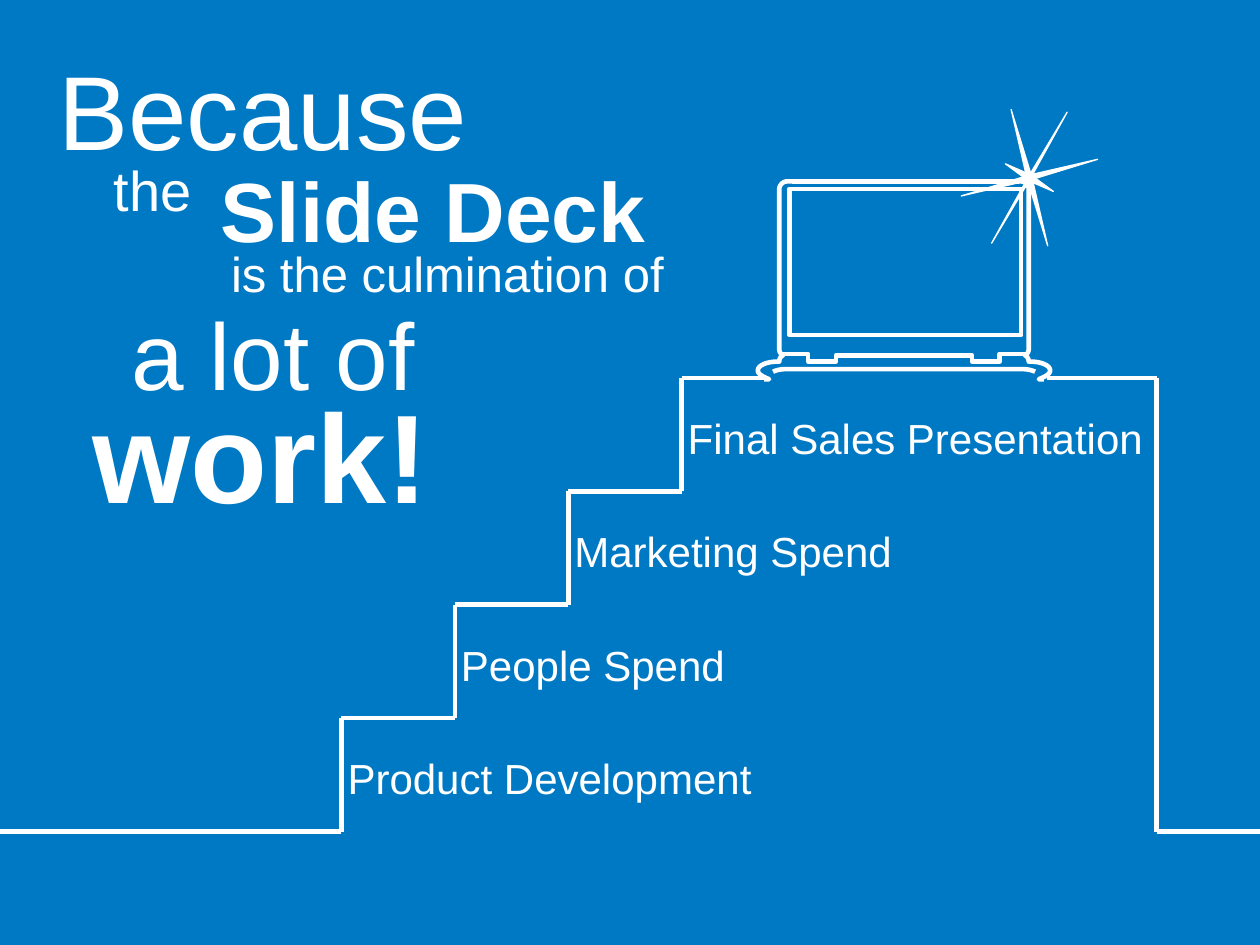
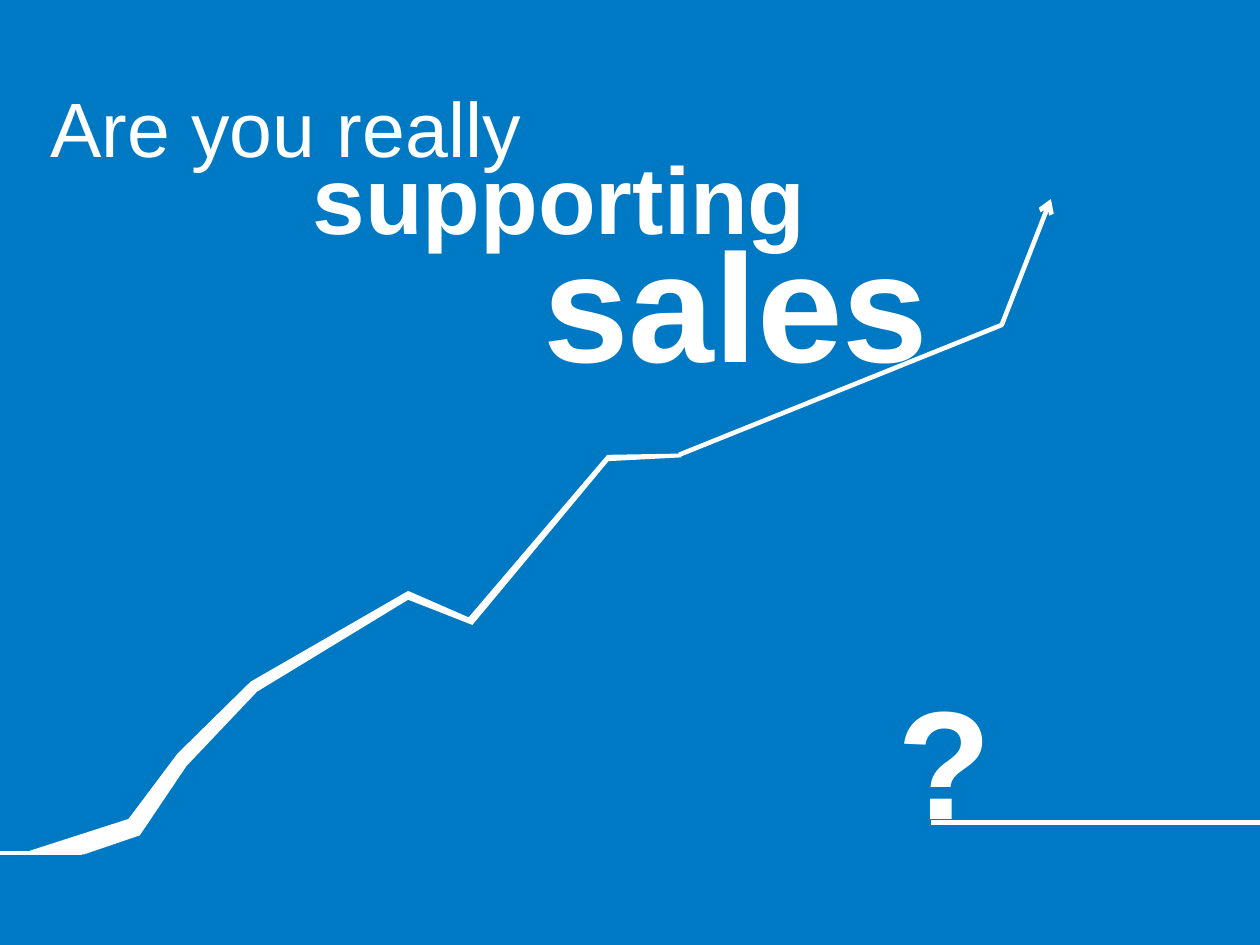
from math import cos, radians, sin

from lxml import etree
from pptx import Presentation
from pptx.dml.color import RGBColor
from pptx.enum.shapes import MSO_CONNECTOR, MSO_SHAPE
from pptx.enum.text import MSO_ANCHOR, MSO_AUTO_SIZE, PP_ALIGN
from pptx.oxml.ns import qn
from pptx.util import Inches, Pt

STRAIGHT = MSO_CONNECTOR.STRAIGHT
RECT, TRIANGLE = MSO_SHAPE.RECTANGLE, MSO_SHAPE.ISOSCELES_TRIANGLE
LEFT, CENTER = PP_ALIGN.LEFT, PP_ALIGN.CENTER
MIDDLE, NO_FIT = MSO_ANCHOR.MIDDLE, MSO_AUTO_SIZE.NONE
BLUE, WHITE = "0079C5", "FFFFFF"
FONT, STROKE = "Arial", 2.64
TITLE_ONLY = 5
BASELINE_DROP = 0.055


def rgb(color):
    return RGBColor.from_string(color)


def write(sp, text, x, y, w, h, size=24, bold=False, align=CENTER):
    sp.left, sp.top = Inches(x), Inches(y + BASELINE_DROP * size / 72)
    sp.width, sp.height = Inches(w), Inches(h)
    tf = sp.text_frame
    tf.word_wrap = True
    tf.auto_size = NO_FIT
    tf.vertical_anchor = MIDDLE
    p = tf.paragraphs[0]
    p.alignment = align
    r = p.add_run()
    r.text = text
    r.font.name, r.font.size, r.font.bold = FONT, Pt(size), bold
    r.font.color.rgb = rgb(WHITE)


def add_text(s, text, x, y, w, h, **fmt):
    write(s.shapes.add_textbox(0, 0, 0, 0), text, x, y, w, h, **fmt)


def stroke(sp, width=STROKE):
    sp.line.color.rgb = rgb(WHITE)
    sp.line.width = Pt(width)


def add_line(s, x1, y1, x2, y2):
    c = s.shapes.add_connector(STRAIGHT, Inches(x1), Inches(y1), Inches(x2), Inches(y2))
    stroke(c)
    etree.SubElement(c._element.spPr, qn("a:effectLst"))


def add_outline(s, points, filled=False):
    pts = [(Inches(x), Inches(y)) for x, y in points]
    builder = s.shapes.build_freeform(*pts[0])
    builder.add_line_segments(pts[1:], close=filled)
    sp = builder.convert_to_shape()
    sp.shadow.inherit = False
    if filled:
        sp.fill.solid()
        sp.fill.fore_color.rgb = rgb(WHITE)
        sp.line.fill.background()
    else:
        sp.fill.background()
        stroke(sp)
    return sp


def curve(a, b, c, d, n=8):
    steps = [i / n for i in range(n + 1)]
    return [tuple((1 - t) ** 3 * a[k] + 3 * (1 - t) ** 2 * t * b[k]
                  + 3 * (1 - t) * t ** 2 * c[k] + t ** 3 * d[k] for k in (0, 1))
            for t in steps]


def mirrored(points):
    return points + [(-x, y) for x, y in reversed(points)]


def headline(s, x, y, words):
    for i, (text, dx, dy, w, h, fmt) in enumerate(words):
        if i == 0:
            write(s.shapes.title, text, x + dx, y + dy, w, h, **fmt)
        else:
            add_text(s, text, x + dx, y + dy, w, h, **fmt)


def staircase(s, x, y, labels, step=0.9, landing=0.68, right=9.18):
    add_line(s, 0, y, x, y)
    for i, label in enumerate(labels):
        left, top = x + i * step, y - (i + 1) * step
        tread = landing if i == len(labels) - 1 else step
        add_line(s, left, top + step, left, top)
        add_line(s, left, top, left + tread, top)
        add_text(s, label, left - 0.05, top, 4.49, 0.91, align=LEFT)
    add_line(s, 8.31, top, right, top)
    add_line(s, right, top, right, y)
    add_line(s, right, y, 10, y)


def laptop(s, x, y, w):
    mid = x + w / 2

    def place(points):
        return [(mid + dx, y + dy) for dx, dy in points]

    side = [(-0.89, 0)]
    side += curve((-0.93, 0), (-0.96, 0), (-0.99, 0.03), (-0.99, 0.06))
    side += curve((-0.99, 1.33), (-0.99, 1.35), (-0.98, 1.37), (-0.96, 1.38))
    side += curve((-0.96, 1.38), (-0.98, 1.39), (-0.99, 1.41), (-0.99, 1.43))
    side += curve((-1, 1.43), (-1.09, 1.43), (-1.16, 1.46), (-1.16, 1.5))
    side += curve((-1.16, 1.5), (-1.16, 1.53), (-1.12, 1.55), (-1.07, 1.57))
    side.append((-1.11, 1.57))
    hinge = [(-0.98, 1.37), (-0.76, 1.37), (-0.76, 1.43), (-0.54, 1.43), (-0.54, 1.38)]
    base = curve((-1.04, 1.51), (-1.02, 1.5), (-0.98, 1.49), (-0.95, 1.49))

    add_outline(s, place(side))
    add_outline(s, place([(-dx, dy) for dx, dy in side]))
    add_line(s, mid - 0.89, y, mid + 0.91, y)
    add_outline(s, place(mirrored(hinge)))
    add_outline(s, place(mirrored(base)))
    screen = s.shapes.add_shape(RECT, Inches(mid - 0.91), Inches(y + 0.06),
                                Inches(1.84), Inches(1.16))
    screen.shadow.inherit = False
    screen.fill.background()
    stroke(screen)


def sparkle(s, cx, cy):
    group = s.shapes.add_group_shape()
    for angle, w, length in ((75, 0.04, 0.56), (165, 0.04, 0.56),
                             (120, 0.05, 0.22), (30, 0.02, 0.6)):
        for turn in (angle, angle + 180):
            x = cx + sin(radians(turn)) * length / 2
            y = cy - cos(radians(turn)) * length / 2
            ray = group.shapes.add_shape(TRIANGLE, Inches(x - w / 2), Inches(y - length / 2),
                                         Inches(w), Inches(length))
            ray.rotation = turn % 360
            ray.shadow.inherit = False
            ray.fill.solid()
            ray.fill.fore_color.rgb = rgb(WHITE)
            stroke(ray, 0.75)


def growth_curve(s, x, y):
    band = [(4.67, 2.03), (3.57, 3.32), (3.09, 3.11), (1.84, 3.83), (1.26, 4.4),
            (0.87, 4.92), (0, 5.2), (0.52, 5.2), (0.96, 5.05), (1.33, 4.5),
            (1.89, 3.91), (3.09, 3.18), (3.6, 3.38), (4.68, 2.08), (5.26, 2.05),
            (5.24, 2.02)]
    arrow = [(5.24, 2.03), (7.8, 1), (8.19, 0)]
    tip = add_outline(s, [(x + dx, y + dy) for dx, dy in arrow])
    etree.SubElement(tip.line._get_or_add_ln(), qn("a:tailEnd"), type="arrow")
    add_outline(s, [(x + dx, y + dy) for dx, dy in band], filled=True)
    add_line(s, 0, y + 5.19, x + 0.5, y + 5.19)


def question(s, x, y):
    add_text(s, "?", x, y, 1.05, 1.35, size=88, bold=True)
    add_line(s, x + 0.42, y + 1.26, 10, y + 1.26)


def work_slide(prs):
    s = prs.slides.add_slide(prs.slide_layouts[TITLE_ONLY])
    staircase(s, 2.71, 6.6, ["Product Development", "People Spend",
                             "Marketing Spend", "Final Sales Presentation"])
    laptop(s, 6.02, 1.44, 2.31)
    sparkle(s, 8.17, 1.41)
    headline(s, 0, 0.1, [
        ("Because", 0.28, 0, 3.61, 1.43, dict(size=60)),
        ("the", 0.67, 1.05, 1.08, 0.65, dict(size=32)),
        ("Slide Deck", 1.35, 1.2, 4.18, 0.65, dict(size=48, bold=True)),
        ("is the culmination of", 1.48, 1.72, 4.14, 0.65, dict(size=28)),
        ("a lot of ", 0.2, 2.33, 4.14, 0.65, dict(size=54)),
        ("work!", 0, 2.91, 4.14, 1.07, dict(size=72, bold=True)),
    ])


def sales_slide(prs):
    s = prs.slides.add_slide(prs.slide_layouts[TITLE_ONLY])
    growth_curve(s, 0.15, 1.58)
    question(s, 6.97, 5.27)
    headline(s, 0.3, 0.42, [
        ("Are you really", 0, 0, 4.95, 1.1, dict(size=44, align=LEFT)),
        ("supporting", 1.76, 0.21, 4.76, 1.78, dict(size=54, bold=True)),
        ("sales", 3.16, 1.01, 4.76, 1.78, dict(size=88, bold=True)),
    ])


def main():
    prs = Presentation()
    prs.slide_width, prs.slide_height = Inches(10), Inches(7.5)
    fill = prs.slide_master.background.fill
    fill.solid()
    fill.fore_color.rgb = rgb(BLUE)
    work_slide(prs)
    sales_slide(prs)
    prs.save("out.pptx")


if __name__ == "__main__":
    main()
